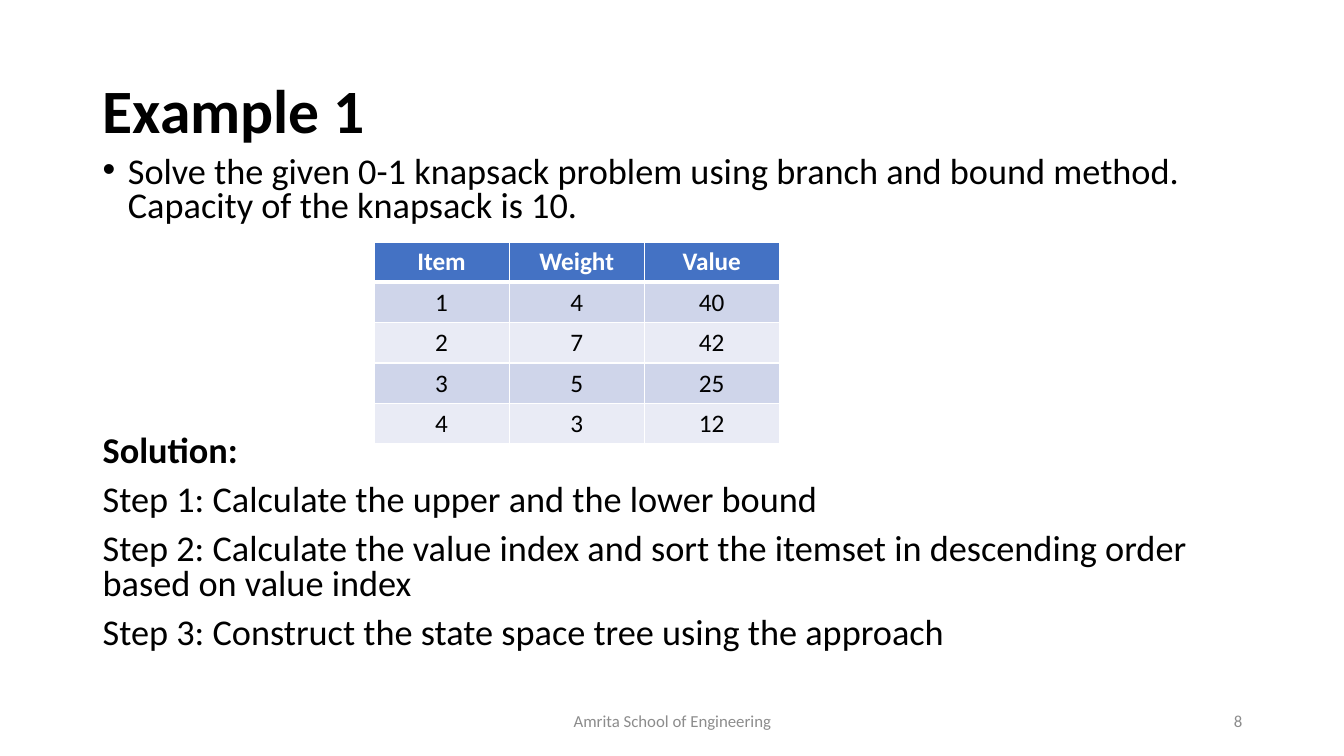
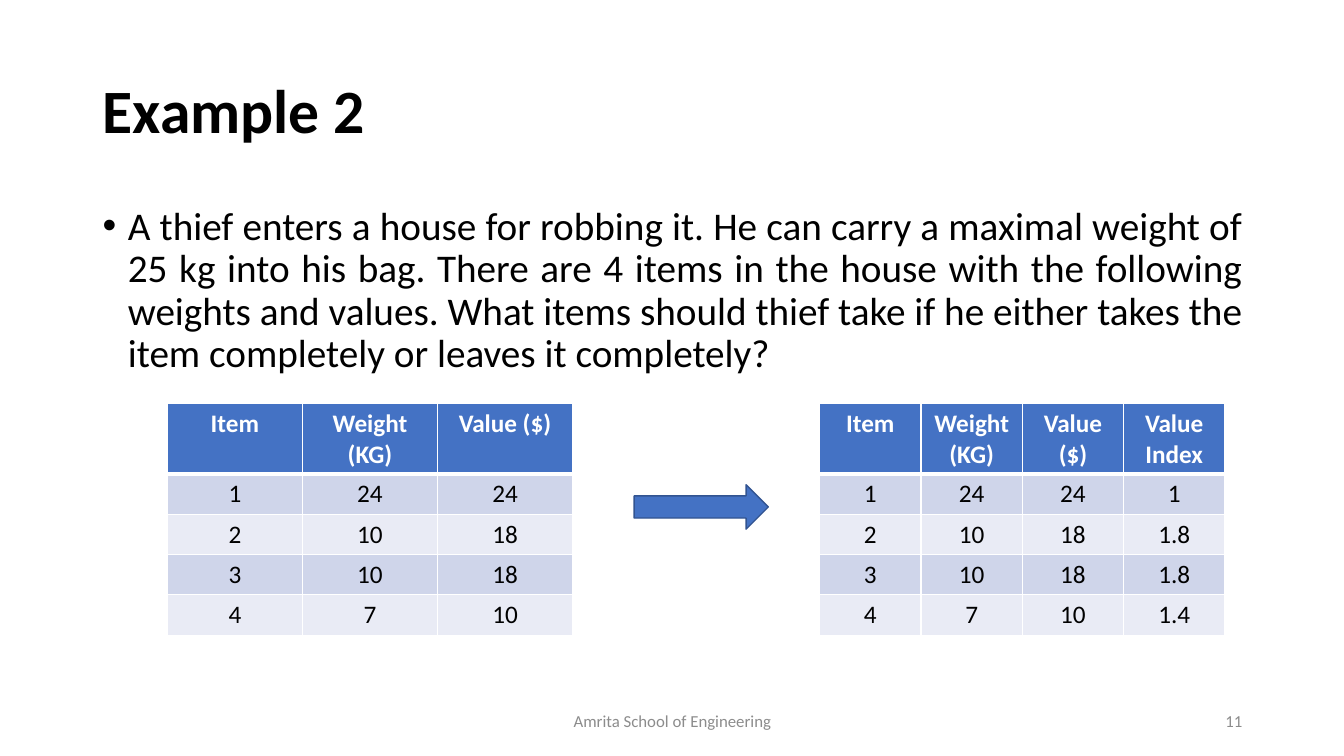
"""Build two slides with worked examples of the 0-1 knapsack problem."""
from lxml.etree import SubElement
from pptx import Presentation
from pptx.dml.color import RGBColor
from pptx.enum.shapes import MSO_SHAPE
from pptx.enum.text import MSO_ANCHOR, PP_ALIGN
from pptx.oxml.ns import qn
from pptx.util import Inches, Pt

FONT = "Calibri"
COLORS = {
    "ink": "000000",
    "paper": "FFFFFF",
    "muted": "8C8C8C",
    "accent": "4472C4",
    "accent_edge": "325491",
    "odd_row": "CFD5EA",
    "even_row": "E9EBF5",
}
MARGIN = 0.92
CONTENT_WIDTH = 11.5
FOOTER_TOP = 6.95
FOOTER_HEIGHT = 0.4
TABLE_WIDTH = 4.02
ROW_HEIGHT = 0.4


def color(name):
    return RGBColor.from_string(COLORS[name])


def style_paragraph(paragraph, size, ink="ink", bold=False, align=PP_ALIGN.LEFT):
    paragraph.alignment = align
    for run in paragraph.runs:
        run.font.name = FONT
        run.font.size = Pt(size)
        run.font.bold = bold
        run.font.color.rgb = color(ink)


def add_frame(slide, left, top, width, height, anchor=MSO_ANCHOR.TOP):
    box = slide.shapes.add_textbox(
        Inches(left), Inches(top), Inches(width), Inches(height))
    frame = box.text_frame
    frame.word_wrap = True
    frame.vertical_anchor = anchor
    return frame


def add_title(slide, title):
    frame = add_frame(slide, MARGIN, 0.4, CONTENT_WIDTH, 1.45, MSO_ANCHOR.MIDDLE)
    frame.text = title
    heading = frame.paragraphs[0]
    heading.line_spacing = 0.9
    style_paragraph(heading, 44, bold=True)


def add_footer(slide, number):
    for text, left, width, align in (
        ("Amrita School of Engineering", 4.42, 4.5, PP_ALIGN.CENTER),
        (str(number), 9.42, 3, PP_ALIGN.RIGHT),
    ):
        frame = add_frame(slide, left, FOOTER_TOP, width, FOOTER_HEIGHT, MSO_ANCHOR.MIDDLE)
        frame.text = text
        style_paragraph(frame.paragraphs[0], 12, "muted", align=align)


def add_example_slide(prs, title, number):
    slide = prs.slides.add_slide(prs.slide_layouts[6])
    add_title(slide, title)
    add_footer(slide, number)
    return slide


def add_question(slide, question, top, height, size, spacing, align=PP_ALIGN.LEFT):
    frame = add_frame(slide, MARGIN, top, CONTENT_WIDTH, height)
    frame.text = question
    bulleted = frame.paragraphs[0]
    properties = bulleted._p.get_or_add_pPr()
    properties.set("marL", str(Inches(0.25)))
    properties.set("indent", str(Inches(-0.25)))
    SubElement(properties, qn("a:buFont"), typeface="Arial")
    SubElement(properties, qn("a:buChar"), char="•")
    bulleted.line_spacing = spacing
    style_paragraph(bulleted, size, align=align)
    return frame


def add_solution(frame, steps, size, spacing, gap_above):
    for index, line in enumerate(["Solution:"] + steps):
        paragraph = frame.add_paragraph()
        paragraph.text = line
        paragraph.line_spacing = spacing
        paragraph.space_before = Pt(10 if index else gap_above)
        style_paragraph(paragraph, size, bold=index == 0)


def add_borders(cell, is_header, is_below_header):
    properties = cell._tc.get_or_add_tcPr()
    widths = {"lnL": 1, "lnR": 1, "lnT": 3 if is_below_header else 1,
              "lnB": 3 if is_header else 1}
    for side, width in widths.items():
        border = SubElement(properties, qn(f"a:{side}"), w=str(Pt(width)))
        fill = SubElement(border, qn("a:solidFill"))
        SubElement(fill, qn("a:srgbClr"), val=COLORS["paper"])


def add_item_table(slide, left, top, header, items, header_height=ROW_HEIGHT):
    rows = [header] + items
    height = header_height + ROW_HEIGHT * len(items)
    table = slide.shapes.add_table(
        len(rows), len(header), Inches(left), Inches(top),
        Inches(TABLE_WIDTH), Inches(height)).table
    for column in table.columns:
        column.width = Inches(TABLE_WIDTH / len(header))
    for index, values in enumerate(rows):
        is_header = index == 0
        table.rows[index].height = Inches(header_height if is_header else ROW_HEIGHT)
        band = "accent" if is_header else "odd_row" if index % 2 else "even_row"
        for cell, value in zip(table.rows[index].cells, values):
            add_borders(cell, is_header, index == 1)
            cell.fill.solid()
            cell.fill.fore_color.rgb = color(band)
            cell.text_frame.text = str(value)
            style_paragraph(cell.text_frame.paragraphs[0], 18,
                            "paper" if is_header else "ink", is_header, PP_ALIGN.CENTER)


def add_arrow(slide, left, top, width, height):
    arrow = slide.shapes.add_shape(
        MSO_SHAPE.RIGHT_ARROW, Inches(left), Inches(top), Inches(width), Inches(height))
    arrow.shadow.inherit = False
    arrow.fill.solid()
    arrow.fill.fore_color.rgb = color("accent")
    arrow.line.color.rgb = color("accent_edge")
    arrow.line.width = Pt(1)


def build_first_example(prs):
    slide = add_example_slide(prs, "Example 1", 8)
    size, spacing = 25.9, 0.8
    body = add_question(
        slide,
        "Solve the given 0-1 knapsack problem using branch and bound method. "
        "Capacity of the knapsack is 10.",
        1.5, 5.45, size, spacing)
    add_solution(body, [
        "Step 1: Calculate the upper and the lower bound",
        "Step 2: Calculate the value index and sort the itemset in descending order "
        "based on value index",
        "Step 3: Construct the state space tree using the approach",
    ], size, spacing, gap_above=150)
    add_item_table(slide, 3.71, 2.4, ["Item", "Weight", "Value"],
                   [[1, 4, 40], [2, 7, 42], [3, 5, 25], [4, 3, 12]])


def build_second_example(prs):
    slide = add_example_slide(prs, "Example 2", 11)
    add_question(
        slide,
        "A thief enters a house for robbing it. He can carry a maximal weight of 25 kg "
        "into his bag. There are 4 items in the house with the following weights and "
        "values. What items should thief take if he either takes the item completely "
        "or leaves it completely?",
        2, 4.76, 28, 0.9, PP_ALIGN.JUSTIFY)
    header = ["Item", "Weight (KG)", "Value ($)"]
    items = [[1, 24, 24], [2, 10, 18], [3, 10, 18], [4, 7, 10]]
    indexed_items = [
        [item, weight, value, f"{value / weight:.2g}"] for item, weight, value in items]
    add_item_table(slide, 1.66, 4, header, items, 0.7)
    add_item_table(slide, 8.13, 4, header + ["Value Index"], indexed_items, 0.7)
    add_arrow(slide, 6.29, 4.81, 1.33, 0.44)


def main():
    prs = Presentation()
    prs.slide_width = Inches(13.33)
    prs.slide_height = Inches(7.5)
    build_first_example(prs)
    build_second_example(prs)
    prs.save("out.pptx")


if __name__ == "__main__":
    main()
